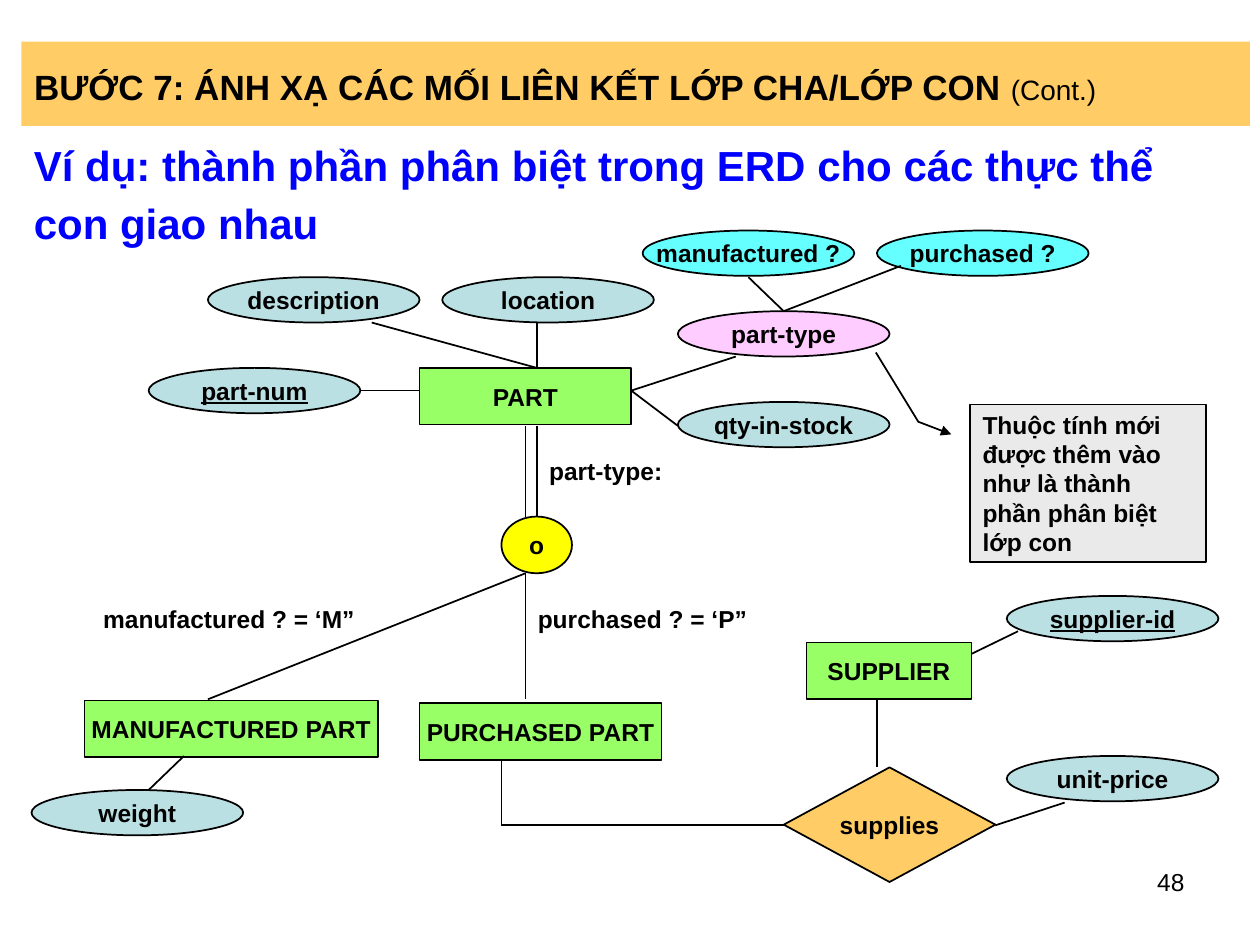
from dataclasses import dataclass

from lxml.etree import SubElement
from pptx import Presentation
from pptx.dml.color import RGBColor as RGB
from pptx.enum.shapes import MSO_CONNECTOR as Wire, MSO_SHAPE as Kind
from pptx.enum.text import MSO_ANCHOR as Anchor, MSO_AUTO_SIZE as Fit, PP_ALIGN as Align
from pptx.oxml.ns import qn
from pptx.util import Inches, Pt


@dataclass(frozen=True)
class Theme:
    face: str = "Arial"
    black: str = "000000"
    blue: str = "0000FF"
    gold: str = "FFCC66"
    teal: str = "BBE0E3"
    cyan: str = "66FFFF"
    pink: str = "FFCCFF"
    green: str = "99FF66"
    yellow: str = "FFFF00"
    gray: str = "EAEAEA"
    title: int = 20
    cont: int = 16
    lead: int = 24
    label: int = 14
    line: int = 1


T = Theme()


@dataclass(frozen=True)
class Node:
    text: str
    x: float
    y: float
    fill: str = T.teal
    w: float = 1.68
    h: float = 0.36
    kind: Kind = Kind.OVAL
    key: bool = False


@dataclass(frozen=True)
class Label:
    text: str
    x: float
    y: float
    w: float = 2.24
    h: float = 0.36
    size: int = T.label
    color: str = T.black
    bold: bool = True
    wrap: bool = False
    align: Align = Align.LEFT
    anchor: Anchor = Anchor.MIDDLE
    space: float = 1.0


@dataclass(frozen=True)
class Link:
    x1: float
    y1: float
    x2: float
    y2: float


def entity(text: str, x: float, y: float, w: float) -> Node:
    return Node(text, x, y, T.green, w, 0.45, Kind.RECTANGLE)


NODES = [
    Node("unit-price", 7.99, 6),
    Node("supplier-id", 7.99, 4.73, key=True),
    Node("manufactured ?", 5.1, 1.83, T.cyan),
    Node("purchased ?", 6.96, 1.83, T.cyan),
    Node("part-num", 1.18, 2.92, key=True),
    Node("description", 1.65, 2.2),
    Node("location", 3.51, 2.2),
    Node("weight", 0.25, 6.27),
    Node("part-type", 5.38, 2.47, T.pink),
    Node("qty-in-stock", 5.38, 3.19),
    Node("o", 3.98, 4.1, T.yellow, 0.56, 0.45),
    Node("supplies", 6.22, 6.09, T.gold, h=0.91, kind=Kind.DIAMOND),
    entity("PART", 3.33, 2.92, 1.68),
    entity("SUPPLIER", 6.4, 5.1, 1.31),
    entity("MANUFACTURED PART", 0.67, 5.56, 2.33),
    entity("PURCHASED PART", 3.33, 5.58, 1.92),
]

LINKS = [
    Link(4.26, 2.56, 4.26, 2.92),
    Link(4.26, 2.92, 2.95, 2.56),
    Link(5.01, 3.1, 5.38, 3.38),
    Link(3.33, 3.1, 2.86, 3.1),
    Link(5.84, 2.83, 5.01, 3.1),
    Link(5.94, 2.2, 6.22, 2.47),
    Link(6.22, 2.47, 7.15, 2.11),
    Link(4.17, 3.38, 4.17, 4.1),
    Link(4.26, 3.38, 4.26, 4.1),
    Link(4.17, 4.55, 1.65, 5.55),
    Link(4.17, 4.55, 4.17, 5.55),
    Link(1.46, 6, 1.18, 6.27),
    Link(6.96, 5.55, 6.96, 6.09),
    Link(8.08, 5.01, 7.71, 5.19),
    Link(7.9, 6.55, 8.45, 6.37),
    Link(6.22, 6.55, 3.98, 6.55),
    Link(3.98, 6.03, 3.98, 6.55),
]

LABELS = [
    Label("Ví dụ: thành phần phân biệt trong ERD cho các thực thể con giao nhau",
          0.17, 1.17, 9.75, 0.67, T.lead, T.blue, wrap=True, space=1.15),
    Label("part-type:", 4.26, 3.56),
    Label("manufactured ? = ‘M”", 0.72, 4.73),
    Label("purchased ? = ‘P”", 4.17, 4.73),
    Label("48", 7.17, 6.83, 2.33, 0.52, bold=False, wrap=True,
          align=Align.RIGHT, anchor=Anchor.TOP),
]


def style(font, size: int, color: str = T.black, bold: bool = True) -> None:
    font.name, font.size, font.bold = T.face, Pt(size), bold
    font.color.rgb = RGB.from_string(color)


def paint(shape, color: str) -> None:
    shape.fill.solid()
    shape.fill.fore_color.rgb = RGB.from_string(color)


def frame_of(shape, wrap: bool, anchor: Anchor = Anchor.MIDDLE):
    frame = shape.text_frame
    frame.auto_size = Fit.NONE
    frame.word_wrap, frame.vertical_anchor = wrap, anchor
    return frame


def ink(line) -> None:
    line.color.rgb = RGB.from_string(T.black)
    line.width = Pt(T.line)


def add_node(slide, node: Node, align: Align = Align.CENTER, wrap: bool = False):
    shape = slide.shapes.add_shape(
        node.kind, *map(Inches, (node.x, node.y, node.w, node.h)))
    shape.shadow.inherit = False
    paint(shape, node.fill)
    ink(shape.line)
    para = frame_of(shape, wrap).paragraphs[0]
    para.text, para.alignment = node.text, align
    style(para.font, T.label)
    if node.key:
        para.font.underline = True
    return shape


def add_link(slide, link: Link) -> None:
    wire = slide.shapes.add_connector(
        Wire.STRAIGHT, *map(Inches, (link.x1, link.y1, link.x2, link.y2)))
    ink(wire.line)
    SubElement(wire._element.spPr, qn("a:effectLst"))


def add_label(slide, label: Label) -> None:
    box = slide.shapes.add_textbox(
        *map(Inches, (label.x, label.y, label.w, label.h)))
    para = frame_of(box, label.wrap, label.anchor).paragraphs[0]
    para.text, para.alignment = label.text, label.align
    para.line_spacing = label.space
    style(para.font, label.size, label.color, label.bold)


def add_note(slide) -> None:
    """Callout whose bent leader ends in an arrowhead beside the box."""
    text = "Thuộc tính mới được thêm vào như là thành phần phân biệt lớp con"
    note = add_node(slide, Node(text, 7.7, 3.21, T.gray, 1.87, 1.25,
                                Kind.LINE_CALLOUT_2), Align.LEFT, True)
    for i, bend in enumerate((0.19, -0.08, 0.11, -0.22, -0.33, -0.4)):
        note.adjustments[i] = bend
    SubElement(note.line._get_or_add_ln(), qn("a:headEnd"), type="triangle")


def set_title(slide) -> None:
    title = slide.shapes.title
    title.left, title.top, title.width, title.height = map(
        Inches, (0.17, 0.33, 9.75, 0.67))
    paint(title, T.gold)
    para = frame_of(title, True).paragraphs[0]
    para.alignment, para.line_spacing = Align.LEFT, 1.15
    for text, size, bold in (
            ("BƯỚC 7: ÁNH XẠ CÁC MỐI LIÊN KẾT LỚP CHA/LỚP CON ", T.title, True),
            ("(Cont.)", T.cont, False)):
        run = para.add_run()
        run.text = text
        style(run.font, size, bold=bold)


def main() -> None:
    deck = Presentation()
    deck.slide_width, deck.slide_height = Inches(10), Inches(7.5)
    slide = deck.slides.add_slide(deck.slide_layouts[5])
    set_title(slide)
    for draw, items in ((add_node, NODES), (add_link, LINKS), (add_label, LABELS)):
        for item in items:
            draw(slide, item)
    add_note(slide)
    deck.save("out.pptx")


if __name__ == "__main__":
    main()
